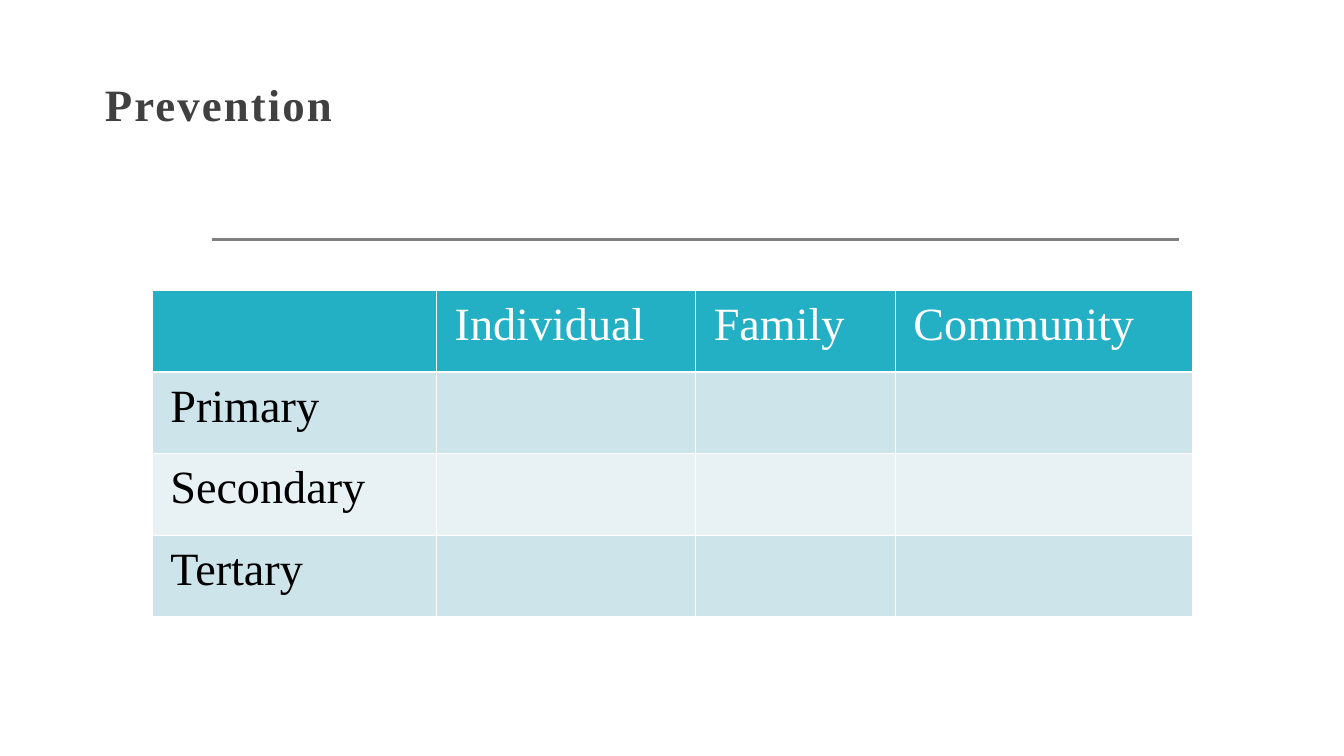
from pptx import Presentation
from pptx.dml.color import RGBColor
from pptx.enum import shapes, text
from pptx.oxml import parse_xml
from pptx.oxml.ns import nsdecls
from pptx.util import Inches, Pt

TITLE = "Prevention"
ROWS = [
    ["", "Individual", "Family", "Community"],
    ["Primary", "", "", ""],
    ["Secondary", "", "", ""],
    ["Tertary", "", "", ""],
]
COL_WIDTHS = [2.82, 2.57, 1.98, 2.95]
ROW_HEIGHT = 0.81
FONT = "Times New Roman"
COLORS = {
    "title": "404040", "rule": "808080", "header": "23B0C5",
    "odd": "CDE4EA", "even": "E8F2F5", "white": "FFFFFF", "black": "000000",
}


def rgb(name):
    return RGBColor.from_string(COLORS[name])


def style_run(r, size, color):
    r.font.name = FONT
    r.font.size = Pt(size)
    r.font.color.rgb = rgb(color)


def set_insets(box, left, top, right, bottom):
    box.margin_left, box.margin_top = Inches(left), Inches(top)
    box.margin_right, box.margin_bottom = Inches(right), Inches(bottom)


def add_borders(cell):
    """Draw thin white borders; must run before the cell is filled."""
    tcPr = cell._tc.get_or_add_tcPr()
    for side in "LRTB":
        tcPr.append(parse_xml(
            f'<a:ln{side} {nsdecls("a")} w="{Pt(1)}"><a:solidFill>'
            f'<a:srgbClr val="{COLORS["white"]}"/></a:solidFill></a:ln{side}>'))


def add_title(s):
    sp = s.shapes.add_textbox(Inches(0.92), Inches(0.28), Inches(11.49), Inches(1.11))
    tf = sp.text_frame
    tf.word_wrap = True
    tf.vertical_anchor = text.MSO_ANCHOR.BOTTOM
    set_insets(tf, 0.12, 0.12, 0.12, 0.1)
    tf.text = TITLE
    p = tf.paragraphs[0]
    p.line_spacing = 1.3
    r = p.runs[0]
    style_run(r, 32, "title")
    r.font.bold = True
    r.font._element.set("spc", "150")


def add_rule(s):
    line = s.shapes.add_connector(
        shapes.MSO_CONNECTOR.STRAIGHT,
        Inches(2.1), Inches(2.38), Inches(11.69), Inches(2.38))
    line.line.color.rgb = rgb("rule")
    line.line.width = Pt(2)
    line._element.spPr.append(parse_xml(f'<a:effectLst {nsdecls("a")}/>'))


def add_prevention_table(s):
    table = s.shapes.add_table(
        len(ROWS), len(COL_WIDTHS), Inches(1.51), Inches(2.88),
        Inches(sum(COL_WIDTHS)), Inches(ROW_HEIGHT * len(ROWS))).table
    for column, width in zip(table.columns, COL_WIDTHS):
        column.width = Inches(width)
    for i, labels in enumerate(ROWS):
        table.rows[i].height = Inches(ROW_HEIGHT)
        fill = "header" if i == 0 else "odd" if i % 2 else "even"
        for j, label in enumerate(labels):
            cell = table.cell(i, j)
            set_insets(cell, 0.18, 0.09, 0.18, 0.09)
            add_borders(cell)
            cell.fill.solid()
            cell.fill.fore_color.rgb = rgb(fill)
            if label:
                p = cell.text_frame.paragraphs[0]
                p.text = label
                style_run(p.runs[0], 33, "black" if i else "white")
                p.runs[0].font.bold = False


def main():
    prs = Presentation()
    prs.slide_width, prs.slide_height = Inches(13.33), Inches(7.5)
    s = prs.slides.add_slide(prs.slide_layouts[6])
    add_rule(s)
    add_title(s)
    add_prevention_table(s)
    prs.save("out.pptx")


if __name__ == "__main__":
    main()
